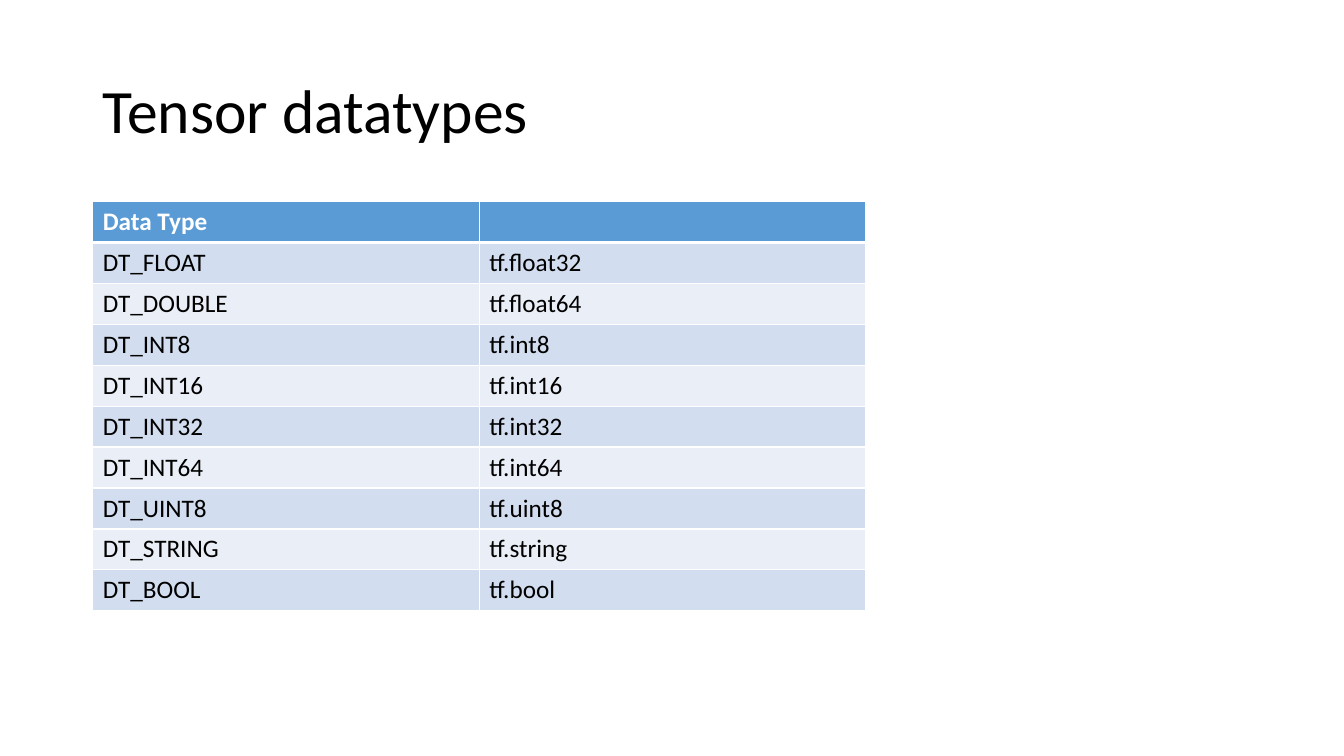
import dataclasses

import lxml.etree
import pptx
import pptx.dml.color
import pptx.enum.text
import pptx.oxml.ns
import pptx.util
from pptx.util import Inches


@dataclasses.dataclass(frozen=True)
class Theme:
    font: str = "Calibri"
    text: str = "000000"
    header_text: str = "FFFFFF"
    header_fill: str = "5B9BD5"
    band_fills: tuple = ("D2DEEF", "EAEFF7")
    border: str = "FFFFFF"
    title_size: int = 44
    table_size: int = 18
    thin_border: int = 1
    header_border: int = 3


THEME = Theme()

DATA_TYPES = [
    ("Data Type", ""),
    ("DT_FLOAT", "tf.float32"),
    ("DT_DOUBLE", "tf.float64"),
    ("DT_INT8", "tf.int8"),
    ("DT_INT16", "tf.int16"),
    ("DT_INT32", "tf.int32"),
    ("DT_INT64", "tf.int64"),
    ("DT_UINT8", "tf.uint8"),
    ("DT_STRING", "tf.string"),
    ("DT_BOOL", "tf.bool"),
]


def rgb(value):
    return pptx.dml.color.RGBColor.from_string(value)


def set_text(text_frame, text, size, color, bold=False):
    text_frame.text = text
    for para in text_frame.paragraphs:
        for span in para.runs:
            span.font.name = THEME.font
            span.font.size = pptx.util.Pt(size)
            span.font.color.rgb = rgb(color)
            span.font.bold = bold


def add_title(page, text):
    box = page.shapes.add_textbox(Inches(0.92), Inches(0.4), Inches(11.5), Inches(1.45))
    frame = box.text_frame
    frame.word_wrap = True
    frame.vertical_anchor = pptx.enum.text.MSO_ANCHOR.MIDDLE
    set_text(frame, text, THEME.title_size, THEME.text)
    frame.paragraphs[0].line_spacing = 0.9


def set_borders(cell, top, bottom):
    qn = pptx.oxml.ns.qn
    properties = cell._tc.get_or_add_tcPr()
    widths = {"lnL": THEME.thin_border, "lnR": THEME.thin_border, "lnT": top, "lnB": bottom}
    for position, (side, width) in enumerate(widths.items()):
        line = lxml.etree.Element(qn(f"a:{side}"), w=str(pptx.util.Pt(width)))
        fill = lxml.etree.SubElement(line, qn("a:solidFill"))
        lxml.etree.SubElement(fill, qn("a:srgbClr"), val=THEME.border)
        properties.insert(position, line)


def style_cell(cell, text, row):
    header = row == 0
    fill = THEME.header_fill if header else THEME.band_fills[(row - 1) % 2]
    color = THEME.header_text if header else THEME.text
    set_text(cell.text_frame, text, THEME.table_size, color, bold=header)
    cell.fill.solid()
    cell.fill.fore_color.rgb = rgb(fill)
    set_borders(
        cell,
        top=THEME.header_border if row == 1 else THEME.thin_border,
        bottom=THEME.header_border if header else THEME.thin_border,
    )


def add_type_table(page, rows):
    frame = page.shapes.add_table(
        len(rows), len(rows[0]), Inches(0.92), Inches(2), Inches(7.67), Inches(4.06)
    )
    for row, texts in enumerate(rows):
        for column, text in enumerate(texts):
            style_cell(frame.table.cell(row, column), text, row)


def main():
    deck = pptx.Presentation()
    deck.slide_width = Inches(13.33)
    deck.slide_height = Inches(7.5)
    page = deck.slides.add_slide(deck.slide_layouts[6])
    add_title(page, "Tensor datatypes")
    add_type_table(page, DATA_TYPES)
    deck.save("out.pptx")


if __name__ == "__main__":
    main()
